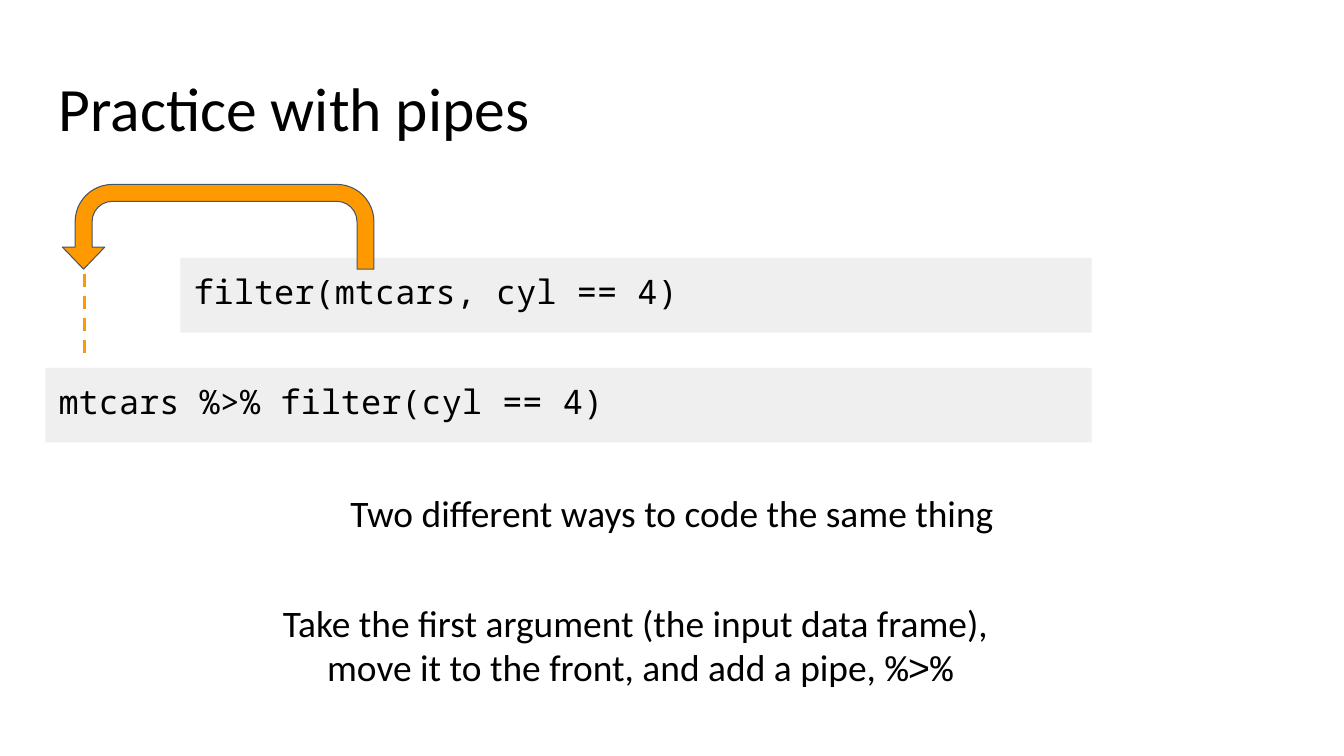
from pptx import Presentation, util as u
from pptx.dml.color import RGBColor
from pptx.enum import dml, shapes, text
from pptx.oxml.ns import qn
from lxml import etree

WIDTH, HEIGHT = u.Inches(13.33), u.Inches(7.5)
COLORS = {"ink": "000000", "code": "EFEFEF", "arrow": "FF9900", "outline": "44546A"}
MARGIN, CODE_RIGHT, CODE_HEIGHT = 3.38, 81.23, 9.87
NOTE_WIDTH = 62.55


def color(name):
    return RGBColor.from_string(COLORS[name])


def across(percent):
    return round(WIDTH * percent / 100)


def down(percent):
    return round(HEIGHT * percent / 100)


def area(left, top, width, height):
    return across(left), down(top), across(width), down(height)


def write(box, paragraphs, *, size, font="Calibri", align=text.PP_ALIGN.LEFT, spacing=1.0):
    frame = box.text_frame
    frame.word_wrap = True
    frame.vertical_anchor = text.MSO_ANCHOR.TOP
    frame.margin_left = frame.margin_right = u.Inches(0.13)
    frame.margin_top = frame.margin_bottom = u.Inches(0.13)
    for index, spans in enumerate(paragraphs):
        para = frame.add_paragraph() if index else frame.paragraphs[0]
        para.alignment = align
        para.line_spacing = spacing
        for words, face in spans:
            span = para.add_run()
            span.text = words
            span.font.name = face or font
            span.font.size = u.Pt(size)
            span.font.color.rgb = color("ink")


def add_text(page, place, paragraphs, **style):
    write(page.shapes.add_textbox(*area(*place)), paragraphs, **style)


def add_note(page, left, top, height, paragraphs):
    add_text(page, (left, top, NOTE_WIDTH, height), paragraphs,
             size=26.7, align=text.PP_ALIGN.CENTER)


def add_filled(page, kind, place, fill):
    shape = page.shapes.add_shape(kind, *area(*place))
    shape.shadow.inherit = False
    shape.fill.solid()
    shape.fill.fore_color.rgb = color(fill)
    return shape


def add_code(page, left, top, code):
    place = (left, top, CODE_RIGHT - left, CODE_HEIGHT)
    box = add_filled(page, shapes.MSO_SHAPE.RECTANGLE, place, "code")
    box.line.fill.background()
    write(box, [[(code, None)]], size=24, font="Noto Sans Mono")


def add_turn_arrow(page, place):
    arrow = add_filled(page, shapes.MSO_SHAPE.U_TURN_ARROW, place, "arrow")
    arrow.line.color.rgb = color("outline")
    arrow.line.width = u.Pt(0.75)
    for index, value in enumerate((0.2, 0.25, 0.26, 0.44, 1)):
        arrow.adjustments[index] = value
    arrow._element.spPr.find(qn("a:xfrm")).set("flipH", "1")


def add_dashed_drop(page, left, top, bottom):
    drop = page.shapes.add_connector(shapes.MSO_CONNECTOR.STRAIGHT,
                                     across(left), down(top), across(left), down(bottom))
    drop.line.color.rgb = color("arrow")
    drop.line.width = u.Pt(2.25)
    drop.line.dash_style = dml.MSO_LINE.DASH
    etree.SubElement(drop._element.spPr, qn("a:effectLst"))


def main():
    deck = Presentation()
    deck.slide_width, deck.slide_height = WIDTH, HEIGHT
    page = deck.slides.add_slide(deck.slide_layouts[6])

    add_text(page, (MARGIN, 8.67, 93.15, 11.2), [[("Practice with pipes", None)]],
             size=44, spacing=0.9)
    add_code(page, 13.43, 34.13, "filter(mtcars, cyl == 4)")
    add_code(page, MARGIN, 48.67, "mtcars %>% filter(cyl == 4)")
    add_turn_arrow(page, (4.65, 24.4, 23.18, 11.2))
    add_dashed_drop(page, 6.3, 36.27, 47.87)
    add_note(page, 16.35, 77.6, 14.8, [
        [("Take the first argument (the input data frame), ", None)],
        [("move it to the front, and add a pipe, ", None), ("%>%", "Courier New")],
    ])
    add_note(page, 18.75, 63.07, CODE_HEIGHT,
             [[("Two different ways to code the same thing", None)]])

    deck.save("out.pptx")


if __name__ == "__main__":
    main()
